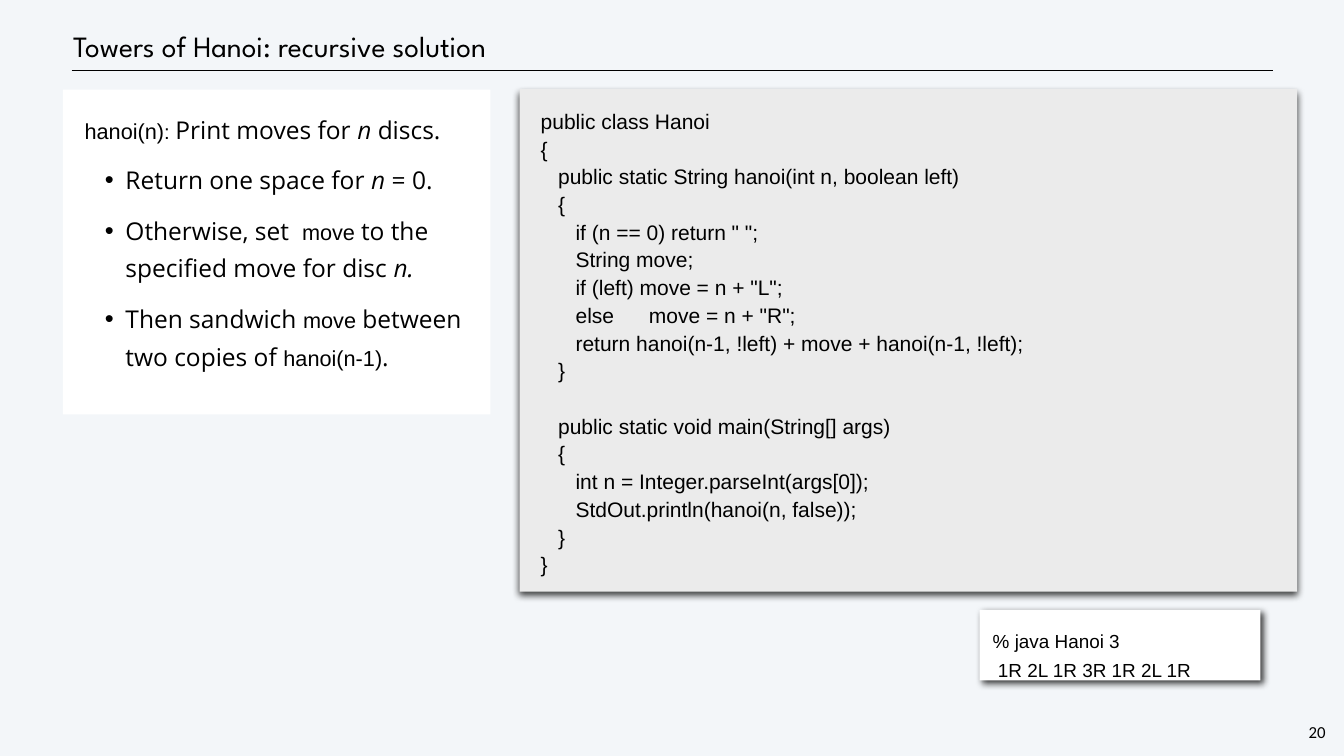
"""Build the Towers of Hanoi recursive solution slide."""
from dataclasses import dataclass

import lxml.etree
import pptx
import pptx.dml.color
import pptx.enum.shapes
import pptx.enum.text
import pptx.oxml.ns
import pptx.util

Inches = pptx.util.Inches
Pt = pptx.util.Pt
qn = pptx.oxml.ns.qn
ALIGN = pptx.enum.text.PP_ALIGN
ANCHOR = pptx.enum.text.MSO_ANCHOR
AUTOSIZE = pptx.enum.text.MSO_AUTO_SIZE

INK, PAPER, WHITE, CODE_GRAY = "000000", "F3F6F9", "FFFFFF", "EBEBEB"

JAVA_CODE = '''public class Hanoi
{
   public static String hanoi(int n, boolean left)
   {
      if (n == 0) return " ";
      String move;
      if (left) move = n + "L";
      else      move = n + "R";
      return hanoi(n-1, !left) + move + hanoi(n-1, !left);
   }
   
   public static void main(String[] args)
   {
      int n = Integer.parseInt(args[0]);
      StdOut.println(hanoi(n, false));
   }
}'''
TERMINAL = "% java Hanoi 3\n 1R 2L 1R 3R 1R 2L 1R"


@dataclass(frozen=True)
class Style:
    """Font of a run of text."""
    size: float
    family: str
    italic: bool = False


PROSE = Style(35, "Open Sans")
VARIABLE = Style(35, "Open Sans", True)
CODE = Style(31, "Arial")
COLON = Style(29, "Arial")


@dataclass(frozen=True)
class Panel:
    """Shadowed rectangle holding lines of code."""
    text: str
    box: tuple[float, float, float, float]
    fill: str
    inset: float
    indent: float
    size: float
    spacing: float
    shadow_angle: int
    autosize: AUTOSIZE


EXPLANATION = [
    [("hanoi(n)", CODE), (": ", COLON), ("Print moves for ", PROSE), ("n", VARIABLE), (" discs.", PROSE)],
    [("Return one space for ", PROSE), ("n", VARIABLE), (" = 0.", PROSE)],
    [("Otherwise, set  ", PROSE), ("move ", CODE), ("to the specified move for disc ", PROSE), ("n.", VARIABLE)],
    [("Then sandwich ", PROSE), ("move", CODE), (" between two copies of ", PROSE),
     ("hanoi(n-1)", CODE), (".", PROSE)],
]
PANELS = [
    Panel(JAVA_CODE, (10.31, 1.77, 15.43, 9.97), CODE_GRAY, 0.33, 0.09, 30, 1.1, 90, AUTOSIZE.SHAPE_TO_FIT_TEXT),
    Panel(TERMINAL, (19.44, 12.1, 5.57, 1.4), WHITE, 0.25, 0.01, 27, 1.3, 45, AUTOSIZE.NONE),
]


def rgb(color: str) -> pptx.dml.color.RGBColor:
    """Turn a hex string into a colour."""
    return pptx.dml.color.RGBColor.from_string(color)


def paint(part, color: str) -> None:
    """Fill a shape or background with one colour."""
    part.fill.solid()
    part.fill.fore_color.rgb = rgb(color)


def set_font(font, style: Style) -> None:
    """Apply a style to a font."""
    font.size, font.name, font.italic = Pt(style.size), style.family, style.italic
    font.color.rgb = rgb(INK)


def place(shape, box: tuple[float, float, float, float]) -> None:
    """Move and size a shape in inches."""
    shape.left, shape.top, shape.width, shape.height = map(Inches, box)


def set_frame(frame, inset: float, anchor=ANCHOR.TOP, autosize=AUTOSIZE.NONE, wrap: bool = True) -> None:
    """Set the margins, anchor and fitting of a text frame."""
    frame.margin_left = frame.margin_top = frame.margin_right = frame.margin_bottom = Inches(inset)
    frame.vertical_anchor, frame.auto_size, frame.word_wrap = anchor, autosize, wrap


def set_indent(paragraph, left: float, first: float = 0) -> None:
    """Set the left margin and first-line indent."""
    properties = paragraph._p.get_or_add_pPr()
    properties.set("marL", str(Inches(left)))
    properties.set("indent", str(Inches(first)))


def set_bullet(paragraph, bulleted: bool) -> None:
    """Give a paragraph a round bullet or none."""
    properties = paragraph._p.get_or_add_pPr()
    if bulleted:
        lxml.etree.SubElement(properties, qn("a:buSzPct"), val="104000")
        lxml.etree.SubElement(properties, qn("a:buChar"), char="•")
    else:
        lxml.etree.SubElement(properties, qn("a:buNone"))


def add_shadow(shape, angle: int) -> None:
    """Cast a soft black shadow in the given direction."""
    shape.shadow.inherit = False
    effects = shape._element.spPr.find(qn("a:effectLst"))
    shadow = lxml.etree.SubElement(effects, qn("a:outerShdw"), blurRad=str(Pt(10)), dist=str(Pt(6)),
                                   dir=str(angle * 60000), algn="ctr", rotWithShape="0")
    color = lxml.etree.SubElement(shadow, qn("a:srgbClr"), val=INK)
    lxml.etree.SubElement(color, qn("a:alpha"), val="75000")


def add_panel(slide, panel: Panel) -> None:
    """Draw a panel with one paragraph for each line."""
    shape = slide.shapes.add_shape(pptx.enum.shapes.MSO_SHAPE.RECTANGLE, *map(Inches, panel.box))
    paint(shape, panel.fill)
    shape.line.fill.background()
    add_shadow(shape, panel.shadow_angle)
    set_frame(shape.text_frame, panel.inset, autosize=panel.autosize)
    shape.text_frame.text = panel.text
    for line in shape.text_frame.paragraphs:
        line.alignment, line.line_spacing = ALIGN.LEFT, panel.spacing
        set_indent(line, panel.indent)
        set_font(line.font, Style(panel.size, "Arial"))


def add_title(slide) -> None:
    """Write the title and rule a line under it."""
    rule = slide.shapes.add_connector(pptx.enum.shapes.MSO_CONNECTOR.STRAIGHT,
                                      Inches(1.42), Inches(1.4), Inches(25.27), Inches(1.4))
    rule.line.color.rgb, rule.line.width = rgb(INK), Pt(1)
    lxml.etree.SubElement(rule._element.spPr, qn("a:effectLst"))
    title = slide.shapes.title
    place(title, (1.39, 0.42, 22.62, 0.99))
    set_frame(title.text_frame, 0.06, ANCHOR.MIDDLE)
    title.text_frame.text = "Towers of Hanoi: recursive solution"
    heading = title.text_frame.paragraphs[0]
    heading.alignment, heading.line_spacing = ALIGN.LEFT, Pt(50)
    set_font(heading.font, Style(42, "League Spartan"))


def add_explanation(slide) -> None:
    """Fill the body with the description of the recursion."""
    body = slide.placeholders[1]
    place(body, (1.25, 1.78, 8.48, 6.44))
    paint(body, WHITE)
    frame = body.text_frame
    set_frame(frame, 0.33)
    for index, runs in enumerate(EXPLANATION):
        step = frame.add_paragraph() if index else frame.paragraphs[0]
        step.level = 1 if index else 0
        set_bullet(step, index > 0)
        set_indent(step, *((0.91, -0.41) if index else (0, 0.1)))
        step.line_spacing, step.space_before = Pt(54), Pt(18 if index else 0)
        set_font(step.font, PROSE)
        for text, style in runs:
            run = step.add_run()
            run.text = text
            set_font(run.font, style)


def add_page_number(slide) -> None:
    """Write the page number in the corner."""
    number = slide.shapes.add_textbox(*map(Inches, (25.92, 14.29, 0.43, 0.47)))
    set_frame(number.text_frame, 0.04, autosize=AUTOSIZE.SHAPE_TO_FIT_TEXT, wrap=False)
    number.text_frame.text = "20"
    line = number.text_frame.paragraphs[0]
    line.alignment, line.line_spacing = ALIGN.CENTER, Pt(28)
    set_font(line.font, Style(24, "Calibri"))


def main() -> None:
    """Assemble and save the slide."""
    deck = pptx.Presentation()
    deck.slide_width, deck.slide_height = Inches(26.67), Inches(15)
    slide = deck.slides.add_slide(deck.slide_layouts[1])
    paint(slide.background, PAPER)
    add_title(slide)
    add_explanation(slide)
    for panel in PANELS:
        add_panel(slide, panel)
    add_page_number(slide)
    deck.save("out.pptx")


if __name__ == "__main__":
    main()
